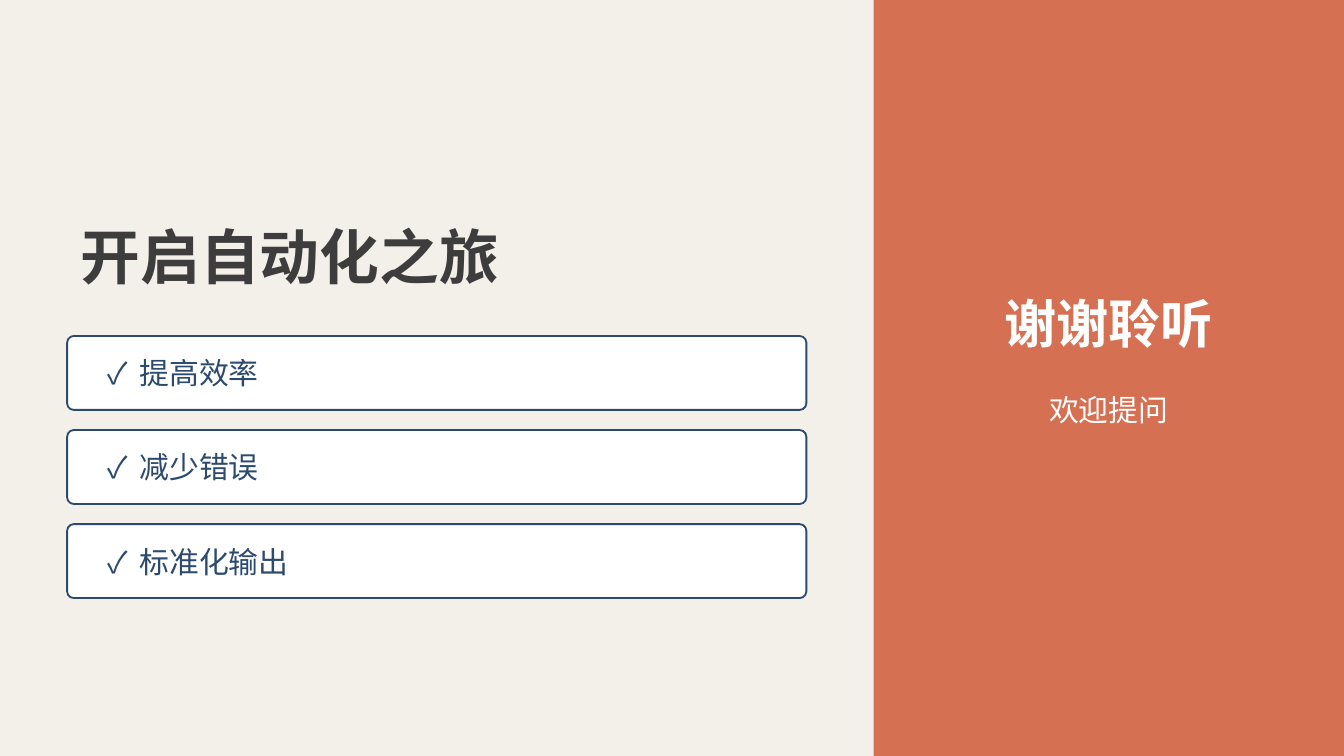
from lxml import etree
from pptx import Presentation
from pptx.dml.color import RGBColor
from pptx.enum import shapes, text
from pptx.oxml.ns import qn
from pptx.util import Inches, Pt

CREAM = RGBColor(0xF3, 0xF0, 0xE9)
TERRACOTTA = RGBColor(0xD6, 0x70, 0x52)
CHARCOAL = RGBColor(0x3D, 0x3D, 0x3D)
NAVY = RGBColor(0x2C, 0x4A, 0x6E)
WHITE = RGBColor(0xFF, 0xFF, 0xFF)

HEADING = {"name": "Cambria", "bold": True}
BODY = {"name": "Arial", "size": Pt(16)}


def write(box, words, align, look, tab=None):
    """Fill a box with one vertically centred paragraph, with a tab stop if given."""
    frame = box.text_frame
    frame.word_wrap = True
    frame.auto_size = text.MSO_AUTO_SIZE.NONE
    frame.vertical_anchor = text.MSO_ANCHOR.MIDDLE
    para = frame.paragraphs[0]
    para.alignment = align
    if tab:
        stops = etree.SubElement(para._p.get_or_add_pPr(), qn("a:tabLst"))
        etree.SubElement(stops, qn("a:tab"), pos=str(tab), algn="l")
    span = para.add_run()
    span.text = words
    for key, value in look.items():
        if key == "color":
            span.font.color.rgb = value
        else:
            setattr(span.font, key, value)


def add_panel(kind, left, top, width, height, fill):
    panel = page.shapes.add_shape(kind, left, top, width, height)
    panel.shadow.inherit = False
    panel.fill.solid()
    panel.fill.fore_color.rgb = fill
    panel.line.fill.background()
    return panel


deck = Presentation()
deck.slide_width = Inches(10)
deck.slide_height = deck.slide_width * 9 // 16
page = deck.slides.add_slide(deck.slide_layouts[5])
page.background.fill.solid()
page.background.fill.fore_color.rgb = CREAM

# Left side: title and benefit cards
title = page.shapes.title
title.left, title.top = Inches(0.5), Inches(1.5)
title.width, title.height = Inches(5.5), Inches(0.8)
write(title, "开启自动化之旅", text.PP_ALIGN.LEFT,
      {**HEADING, "size": Pt(32), "color": CHARCOAL})

for row, benefit in enumerate(["提高效率", "减少错误", "标准化输出"]):
    top = Inches(2.5 + 0.7 * row)
    card = add_panel(shapes.MSO_SHAPE.ROUNDED_RECTANGLE,
                     Inches(0.5), top, Inches(5.5), Inches(0.55), WHITE)
    card.adjustments[0] = 0.09
    card.line.color.rgb = NAVY
    card.line.width = Pt(1)
    label = page.shapes.add_textbox(Inches(0.7), top, Inches(5.1), Inches(0.55))
    write(label, f"✓\t{benefit}", text.PP_ALIGN.LEFT,
          {**BODY, "color": NAVY}, tab=Inches(0.24))

# Right side: closing words
add_panel(shapes.MSO_SHAPE.RECTANGLE,
          Inches(6.5), 0, Inches(3.5), deck.slide_height, TERRACOTTA)
closing = [
    ("谢谢聆听", 2, 0.8, {**HEADING, "size": Pt(28)}),
    ("欢迎提问", 2.8, 0.5, BODY),
]
for words, top, height, look in closing:
    box = page.shapes.add_textbox(
        Inches(6.5), Inches(top), Inches(3.5), Inches(height))
    write(box, words, text.PP_ALIGN.CENTER, {**look, "color": WHITE})

deck.save("out.pptx")
